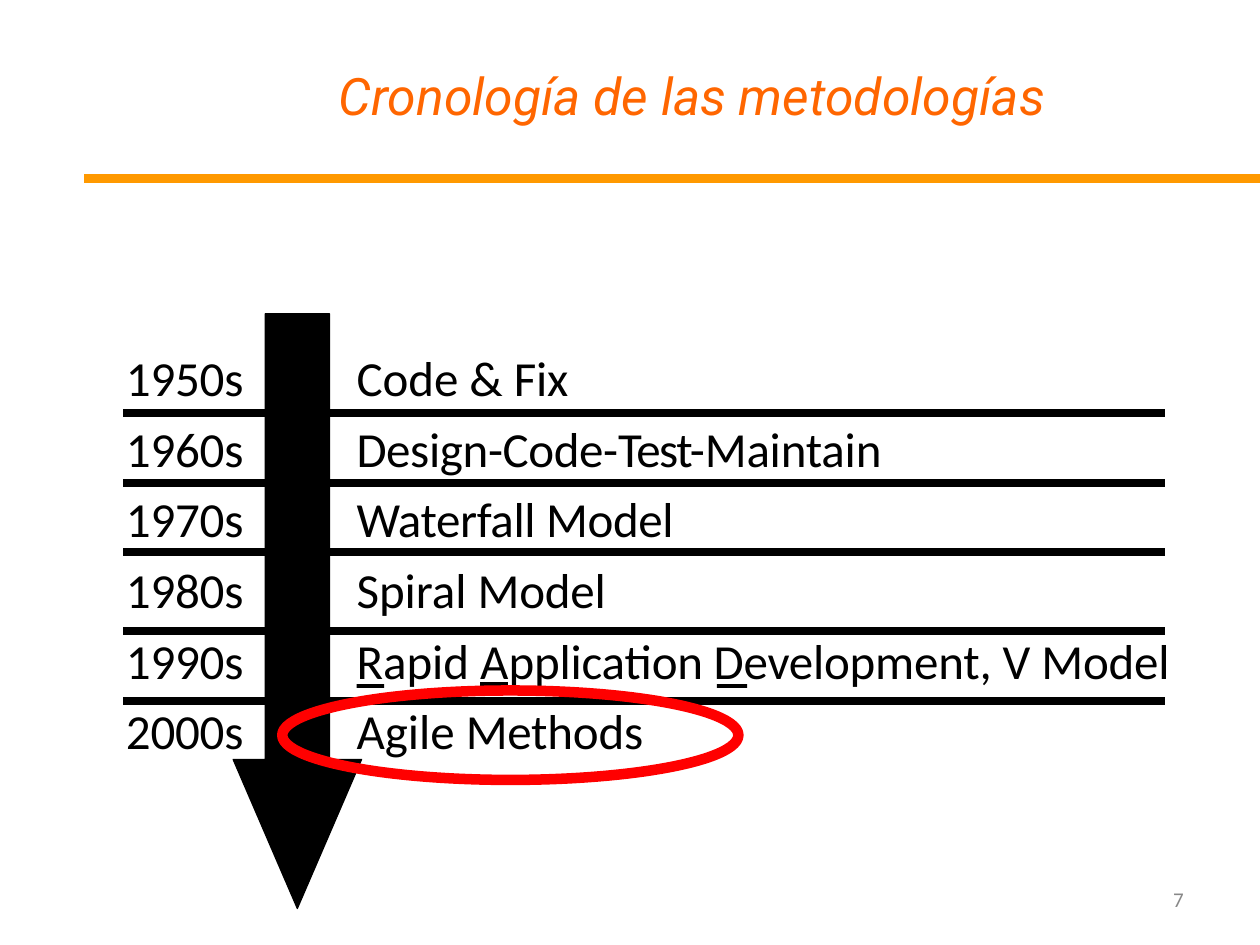
from lxml import etree
from pptx import Presentation
from pptx.dml.color import RGBColor
from pptx.enum import shapes, text
from pptx.oxml import ns
from pptx.util import Inches, Pt

COLORS = {"title": "FF6600", "rule": "FF9900", "ink": "000000",
          "number": "888888", "highlight": "FF0000"}
DECADES = [
    ("1950s", [("Code & ", 0), ("Fix", -0.2)]),
    ("1960s", [("Design-Code-", -0.2), ("Test-", -0.8), ("Maintain", -0.1)]),
    ("1970s", [("Waterfall Model", -0.2)]),
    ("1980s", [("Spiral ", 0), ("Model", -0.1)]),
    ("1990s", [("Rapid ", 0), ("_A", -0.1), ("pplication Development, ", -0.1),
               ("V ", 0), ("Model", -0.1)]),
    ("2000s", [("Agile ", 0), ("Methods", -0.1)]),
]
DIVIDERS = [0.79, 1.34, 1.89, 2.52, 3.07]
INITIALS = [(1.85, 2.07), (4.71, 4.95)]
ROW_STEP = 0.56


def color(name):
    """Return the palette colour called name."""
    return RGBColor.from_string(COLORS[name])


def write(frame, pieces, size, font, ink, indent=0.01, before=0.9):
    """Write a paragraph of (words, spacing) pieces; a leading underscore underlines."""
    frame.word_wrap = True
    frame.auto_size = text.MSO_AUTO_SIZE.NONE
    frame.vertical_anchor = text.MSO_ANCHOR.TOP
    frame.margin_left, frame.margin_top = Inches(indent), Inches(0.01)
    frame.margin_right = frame.margin_bottom = 0
    paragraph = frame.paragraphs[0]
    paragraph.alignment = text.PP_ALIGN.LEFT
    paragraph.space_before = Pt(before)
    paragraph.font.size, paragraph.font.name = Pt(size), font
    paragraph.font.color.rgb = color(ink)
    for words, spacing in pieces:
        run = paragraph.add_run()
        run.text = words.lstrip("_")
        if words.startswith("_"):
            run.font.underline = True
        if spacing:
            run._r.get_or_add_rPr().set("spc", str(round(spacing * 100)))
    return paragraph


def add_label(slide, left, top, width, height, pieces, size=28, ink="ink", before=0.9):
    """Add a text box holding one line."""
    label = slide.shapes.add_textbox(Inches(left), Inches(top), Inches(width), Inches(height))
    write(label.text_frame, pieces, size, "Calibri", ink, before=before)
    label.text_frame.word_wrap = False


def add_outlines(slide, outlines, closed):
    """Add one freeform made of several outlines given in inches."""
    contours = [[(Inches(x), Inches(y)) for x, y in outline] for outline in outlines]
    builder = slide.shapes.build_freeform(*contours[0][0])
    for index, (start, *rest) in enumerate(contours):
        if index:
            builder.move_to(*start)
        builder.add_line_segments(rest, close=closed)
    freeform = builder.convert_to_shape()
    freeform.shadow.inherit = False
    return freeform


def add_header(slide, left, top, width):
    """Place the title and the rule below it."""
    rule = slide.shapes.add_connector(
        shapes.MSO_CONNECTOR.STRAIGHT,
        Inches(left), Inches(top + 0.92), Inches(left + width), Inches(top + 0.92))
    rule.line.color.rgb = color("rule")
    rule.line.width = Pt(5.24)
    etree.SubElement(rule._element.spPr, ns.qn("a:effectLst"))
    title = slide.shapes.title
    title.left, title.top = Inches(left + 1.99), Inches(top)
    title.width, title.height = Inches(5.67), Inches(1.52)
    heading = write(title.text_frame, [("Cronología de las metodologías", 0)],
                    29.5, "Roboto", "title", 0.03, 1.1)
    heading.font.italic = True


def add_timeline(slide, left, top, width):
    """Place the decades, the time arrow, the dividers and the highlight."""
    for row, (decade, method) in enumerate(DECADES):
        row_top = top + 0.26 + row * ROW_STEP
        add_label(slide, left + 0.01, row_top, 0.97, 0.49, [(decade, -0.1)])
        add_label(slide, left + 1.84, row_top, 6.53, 0.49, method)

    upper, lower = top + 2.94, top + 2.97
    underlines = add_outlines(
        slide,
        [[(left + end, upper), (left + start, upper), (left + start, lower),
          (left + end, lower)] for start, end in INITIALS],
        closed=True)
    underlines.fill.solid()
    underlines.fill.fore_color.rgb = color("ink")
    underlines.line.fill.background()

    time_arrow = slide.shapes.add_shape(
        shapes.MSO_SHAPE.DOWN_ARROW,
        Inches(left + 0.87), Inches(top), Inches(1.02), Inches(4.72))
    time_arrow.adjustments[0], time_arrow.adjustments[1] = 0.5, 1.16
    time_arrow.shadow.inherit = False
    time_arrow.fill.solid()
    time_arrow.fill.fore_color.rgb = color("ink")
    time_arrow.line.color.rgb = color("ink")
    time_arrow.line.width = Pt(0.72)

    dividers = add_outlines(
        slide,
        [[(left, top + offset), (left + width, top + offset)] for offset in DIVIDERS],
        closed=False)
    dividers.fill.background()
    dividers.line.color.rgb = color("ink")
    dividers.line.width = Pt(4.56)

    highlight = slide.shapes.add_shape(
        shapes.MSO_SHAPE.OVAL,
        Inches(left + 1.26), Inches(top + 2.99), Inches(3.62), Inches(0.71))
    highlight.shadow.inherit = False
    highlight.fill.background()
    highlight.line.color.rgb = color("highlight")
    highlight.line.width = Pt(6)


def main():
    """Build and save the slide."""
    deck = Presentation()
    deck.slide_width, deck.slide_height = Inches(10), Inches(7.5)
    slide = deck.slides.add_slide(deck.slide_layouts[5])
    add_header(slide, 0.67, 0.5, 9.33)
    add_label(slide, 9.3, 7.03, 0.11, 0.23, [("7", 0)], 12, "number", 1)
    add_timeline(slide, 0.98, 2.49, 8.27)
    deck.save("out.pptx")


main()
